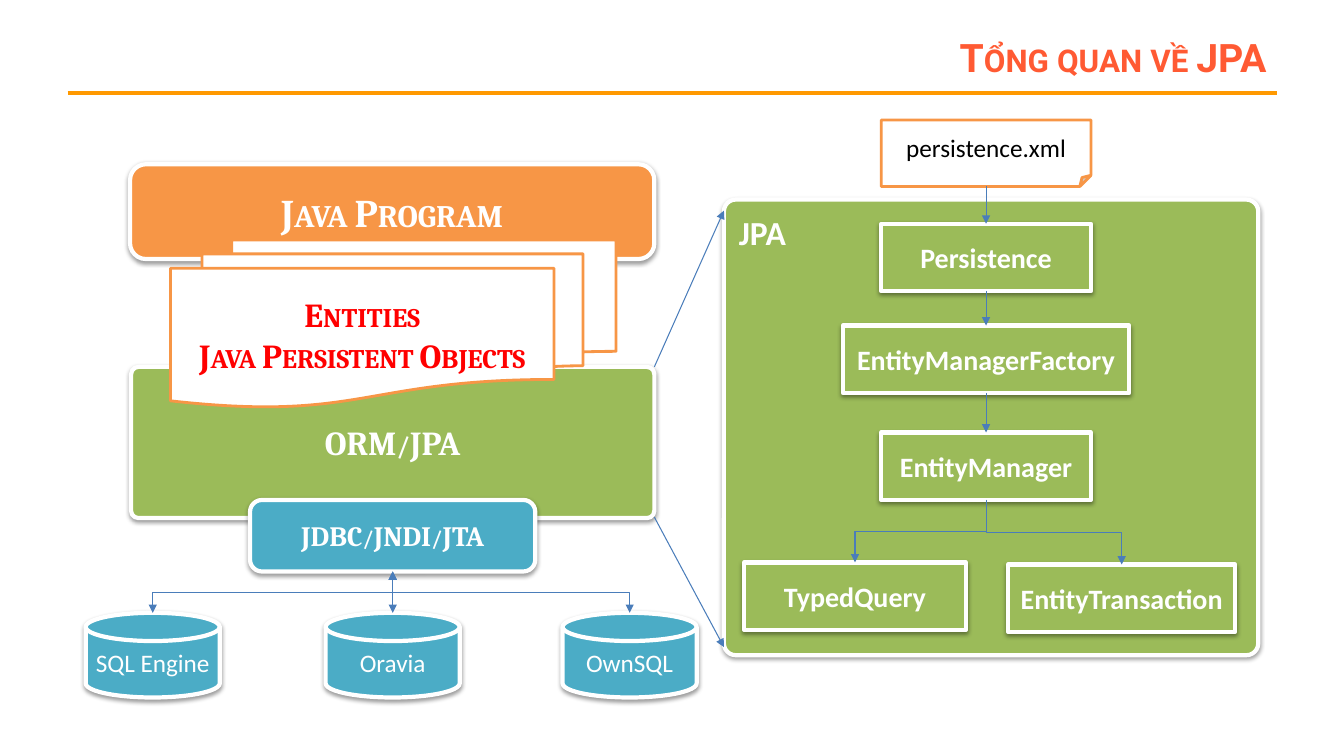
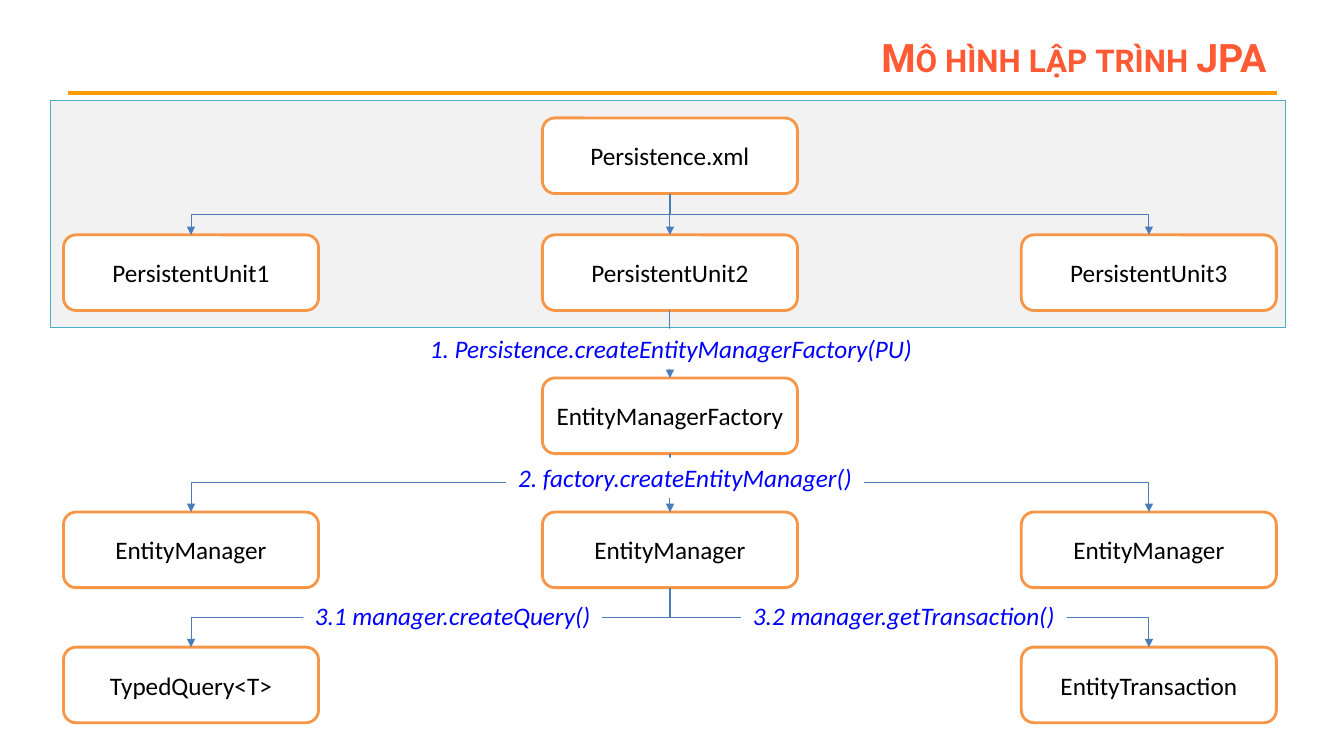
from dataclasses import dataclass
from typing import Optional

from lxml import etree
from pptx import Presentation
from pptx.dml.color import RGBColor
from pptx.enum import shapes, text
from pptx.oxml import ns
from pptx.shapes.autoshape import Shape
from pptx.shapes.connector import Connector
from pptx.slide import Slide
from pptx.text.text import TextFrame
from pptx.util import Emu, Inches, Pt

WHITE, BLACK, RED, BLUE = "FFFFFF", "000000", "FF0000", "0000FF"
ORANGE, GREEN, TEAL, GRAY = "F79646", "9BBB59", "4BACC6", "F2F2F2"
TITLE_COLOR, RULE_COLOR, ARROW_COLOR = "FF5A33", "FF9900", "4A7DBA"
TOP, BOTTOM = 0, 2
KIND = shapes.MSO_SHAPE
ALIGN = text.PP_ALIGN


@dataclass(frozen=True)
class TextStyle:
    size: float
    color: str
    font: str = "Calibri"
    bold: bool = False
    italic: bool = False
    small_caps: bool = False


@dataclass(frozen=True)
class BoxStyle:
    kind: KIND
    fill: str
    line: str
    line_width: float
    text: TextStyle
    shadow: bool = False
    corner: Optional[float] = None


@dataclass(frozen=True)
class Box:
    caption: str
    left: float
    top: float
    width: float
    height: float
    style: BoxStyle


def serif(size: float, color: str = WHITE) -> TextStyle:
    return TextStyle(size, color, "Cambria", bold=True, small_caps=True)


def raised(kind: KIND, fill: str, style: TextStyle, corner: Optional[float] = None) -> BoxStyle:
    """Coloured box with a white border and a soft shadow."""
    return BoxStyle(kind, fill, WHITE, 3, style, True, corner)


def outlined(kind: KIND, style: TextStyle) -> BoxStyle:
    return BoxStyle(kind, WHITE, ORANGE, 2, style)


TITLE_TEXT = TextStyle(28, TITLE_COLOR, "Roboto", bold=True, small_caps=True)
PANEL_TEXT = TextStyle(24, WHITE, bold=True)
LABEL_TEXT = TextStyle(18, BLUE, italic=True)
PLAIN_TEXT = TextStyle(18, BLACK)

DATABASE = raised(KIND.FLOWCHART_MAGNETIC_DISK, TEAL, TextStyle(18, WHITE))
CLASS_BOX = raised(KIND.RECTANGLE, GREEN, TextStyle(20, WHITE, bold=True))
STEP_BOX = outlined(KIND.ROUNDED_RECTANGLE, PLAIN_TEXT)
BACKDROP = BoxStyle(KIND.RECTANGLE, GRAY, TEAL, 0.75, PLAIN_TEXT)


def rgb(value: str) -> RGBColor:
    return RGBColor.from_string(value)


def write(frame: TextFrame, content: str, style: TextStyle, align: ALIGN) -> None:
    for index, line in enumerate(content.split("\n")):
        paragraph = frame.add_paragraph() if index else frame.paragraphs[0]
        paragraph.alignment = align
        run = paragraph.add_run()
        run.text = line
        font = run.font
        font.name, font.size = style.font, Pt(style.size)
        font.bold, font.italic = style.bold, style.italic
        font.color.rgb = rgb(style.color)
        if style.small_caps:
            run._r.get_or_add_rPr().set("cap", "small")


def add_soft_shadow(shape: Shape) -> None:
    effects = shape.element.spPr.find(ns.qn("a:effectLst"))
    shadow = etree.SubElement(effects, ns.qn("a:outerShdw"), blurRad="40000",
                              dist="20000", dir="5400000", rotWithShape="0")
    color = etree.SubElement(shadow, ns.qn("a:srgbClr"), val=BLACK)
    etree.SubElement(color, ns.qn("a:alpha"), val="38000")


def add_box(slide: Slide, box: Box) -> Shape:
    style = box.style
    shape = slide.shapes.add_shape(style.kind, Inches(box.left), Inches(box.top),
                                   Inches(box.width), Inches(box.height))
    if style.corner is not None:
        shape.adjustments[0] = style.corner
    shape.fill.solid()
    shape.fill.fore_color.rgb = rgb(style.fill)
    shape.line.color.rgb = rgb(style.line)
    shape.line.width = Pt(style.line_width)
    shape.shadow.inherit = False
    if style.shadow:
        add_soft_shadow(shape)
    if box.caption:
        frame = shape.text_frame
        frame.word_wrap = False
        frame.vertical_anchor = text.MSO_ANCHOR.MIDDLE
        write(frame, box.caption, style.text, ALIGN.CENTER)
    return shape


def add_label(slide: Slide, content: str, left: float, top: float, width: float, height: float,
              style: TextStyle, align: ALIGN, fill: Optional[str] = None) -> None:
    label = slide.shapes.add_textbox(Inches(left), Inches(top), Inches(width), Inches(height))
    if fill:
        label.fill.solid()
        label.fill.fore_color.rgb = rgb(fill)
    label.text_frame.word_wrap = False
    label.text_frame.auto_size = text.MSO_AUTO_SIZE.SHAPE_TO_FIT_TEXT
    write(label.text_frame, content, style, align)


def style_line(connector: Connector, color: str, width: float,
               head: bool = False, tail: bool = False) -> None:
    connector.line.color.rgb = rgb(color)
    connector.line.width = Pt(width)
    properties = connector.element.spPr
    for tag, wanted in (("a:headEnd", head), ("a:tailEnd", tail)):
        if wanted:
            etree.SubElement(properties.find(ns.qn("a:ln")), ns.qn(tag), type="triangle")
    etree.SubElement(properties, ns.qn("a:effectLst"))


def add_line(slide: Slide, start: tuple[float, float], end: tuple[float, float]) -> Connector:
    return slide.shapes.add_connector(shapes.MSO_CONNECTOR.STRAIGHT,
                                      *(Inches(value) for value in start + end))


def turn_downward(connector: Connector, start_x: int, start_y: int, end_x: int, end_y: int) -> None:
    """Turn an elbow by a quarter so that it leaves and arrives vertically."""
    across, down = abs(end_x - start_x), end_y - start_y
    connector.left = Emu((start_x + end_x - down) // 2)
    connector.top = Emu((start_y + end_y - across) // 2)
    connector.width, connector.height = Emu(down), Emu(across)
    to_right = end_x > start_x
    transform = connector.element.spPr.find(ns.qn("a:xfrm"))
    transform.attrib.pop("flipV", None)
    transform.set("flipH", "1" if to_right else "0")
    transform.set("rot", str((270 if to_right else 90) * 60000))


def join(slide: Slide, upper: Shape, lower: Shape, both_heads: bool = False) -> None:
    """Draw an arrow from the bottom of one shape to the top of another."""
    start_x, start_y = upper.left + upper.width // 2, upper.top + upper.height
    end_x, end_y = lower.left + lower.width // 2, lower.top
    bent = abs(end_x - start_x) > Inches(0.05)
    kind = shapes.MSO_CONNECTOR.ELBOW if bent else shapes.MSO_CONNECTOR.STRAIGHT
    connector = slide.shapes.add_connector(kind, start_x, start_y, end_x, end_y)
    connector.begin_connect(upper, BOTTOM)
    # Site 0 of a disk lies on its inner rim, not on its top edge.
    if lower.auto_shape_type != KIND.FLOWCHART_MAGNETIC_DISK:
        connector.end_connect(lower, TOP)
    if bent:
        turn_downward(connector, start_x, start_y, end_x, end_y)
    style_line(connector, ARROW_COLOR, 0.75, head=both_heads, tail=True)


def add_titled_slide(presentation: Presentation, heading: str) -> Slide:
    slide = presentation.slides.add_slide(presentation.slide_layouts[5])
    title = slide.shapes.title
    title.left, title.top = Inches(2.44), Inches(0.3)
    title.width, title.height = Inches(10.22), Inches(0.53)
    title.text_frame.word_wrap = True
    title.text_frame.auto_size = text.MSO_AUTO_SIZE.NONE
    title.text_frame.vertical_anchor = text.MSO_ANCHOR.MIDDLE
    write(title.text_frame, heading, TITLE_TEXT, ALIGN.RIGHT)
    style_line(add_line(slide, (0.67, 0.92), (12.67, 0.92)), RULE_COLOR, 3)
    return slide


def draw_layers(slide: Slide) -> None:
    rounded = KIND.ROUNDED_RECTANGLE
    layers = (
        Box("Java Program", 1.29, 1.63, 5.2, 0.94, raised(rounded, ORANGE, serif(28), 0.167)),
        Box("ORM/JPA", 1.3, 3.64, 5.19, 1.5, raised(rounded, GREEN, serif(24), 0.049)),
        Box("Entities\nJava Persistent Objects", 1.69, 2.38, 4.42, 1.66,
            outlined(KIND.FLOWCHART_MULTIDOCUMENT, serif(24, RED))),
        Box("JDBC/JNDI/JTA", 2.48, 4.96, 2.83, 0.71, raised(rounded, TEAL, serif(20), 0.167)),
    )
    *_, driver = [add_box(slide, layer) for layer in layers]
    for name, left in (("SQL Engine", 0.85), ("Oravia", 3.23), ("OwnSQL", 5.58)):
        database = add_box(slide, Box(name, left, 6.08, 1.33, 0.84, DATABASE))
        join(slide, driver, database, both_heads=True)


def draw_jpa_panel(slide: Slide) -> None:
    add_box(slide, Box("", 7.18, 1.98, 5.3, 4.52,
                       raised(KIND.ROUNDED_RECTANGLE, GREEN, PANEL_TEXT, 0.026)))
    add_label(slide, "JPA", 7.23, 2.05, 0.67, 0.5, PANEL_TEXT, ALIGN.LEFT)
    chain = [add_box(slide, box) for box in (
        Box("persistence.xml", 8.74, 1.19, 2.08, 0.66, outlined(KIND.FOLDED_CORNER, PLAIN_TEXT)),
        Box("Persistence", 8.74, 2.22, 2.08, 0.67, CLASS_BOX),
        Box("EntityManagerFactory", 8.36, 3.23, 2.84, 0.67, CLASS_BOX),
        Box("EntityManager", 8.74, 4.29, 2.08, 0.67, CLASS_BOX),
    )]
    for upper, lower in zip(chain, chain[1:]):
        join(slide, upper, lower)
    for box in (Box("EntityTransaction", 10, 5.6, 2.25, 0.67, CLASS_BOX),
                Box("TypedQuery", 7.38, 5.58, 2.2, 0.67, CLASS_BOX)):
        join(slide, chain[-1], add_box(slide, box))
    for start_y, end_y in ((3.64, 2.09), (5.13, 6.42)):
        style_line(add_line(slide, (6.49, start_y), (7.18, end_y)), ARROW_COLOR, 0.75, tail=True)


def add_step(slide: Slide, caption: str, column: int, top: float) -> Shape:
    return add_box(slide, Box(caption, 0.63 + 4.75 * column, top, 2.53, 0.75, STEP_BOX))


def draw_programming_model(slide: Slide) -> None:
    add_box(slide, Box("", 0.5, 1, 12.25, 2.25, BACKDROP))
    settings = add_step(slide, "Persistence.xml", 1, 1.17)
    units = [add_step(slide, f"PersistentUnit{column + 1}", column, 2.33) for column in range(3)]
    factory = add_step(slide, "EntityManagerFactory", 1, 3.75)
    managers = [add_step(slide, "EntityManager", column, 5.08) for column in range(3)]
    results = [add_step(slide, "TypedQuery<T>", 0, 6.42),
               add_step(slide, "EntityTransaction", 2, 6.42)]
    for upper, followers in ((settings, units), (units[1], [factory]),
                             (factory, managers), (managers[1], results)):
        for lower in followers:
            join(slide, upper, lower)
    for call, left, top, width in (
        ("1. Persistence.createEntityManagerFactory(PU)", 4.14, 3.26, 5.03),
        ("2. factory.createEntityManager()", 5.02, 4.54, 3.55),
        ("3.1 manager.createQuery()", 3.01, 5.91, 2.96),
        ("3.2 manager.getTransaction()", 7.35, 5.91, 3.23),
    ):
        add_label(slide, call, left, top, width, 0.4, LABEL_TEXT, ALIGN.CENTER, WHITE)


def main() -> None:
    presentation = Presentation()
    presentation.slide_width, presentation.slide_height = Inches(13.33), Inches(7.5)
    overview = add_titled_slide(presentation, "Tổng quan về JPA")
    draw_layers(overview)
    draw_jpa_panel(overview)
    draw_programming_model(add_titled_slide(presentation, "Mô hình lập trình JPA"))
    presentation.save("out.pptx")


if __name__ == "__main__":
    main()
